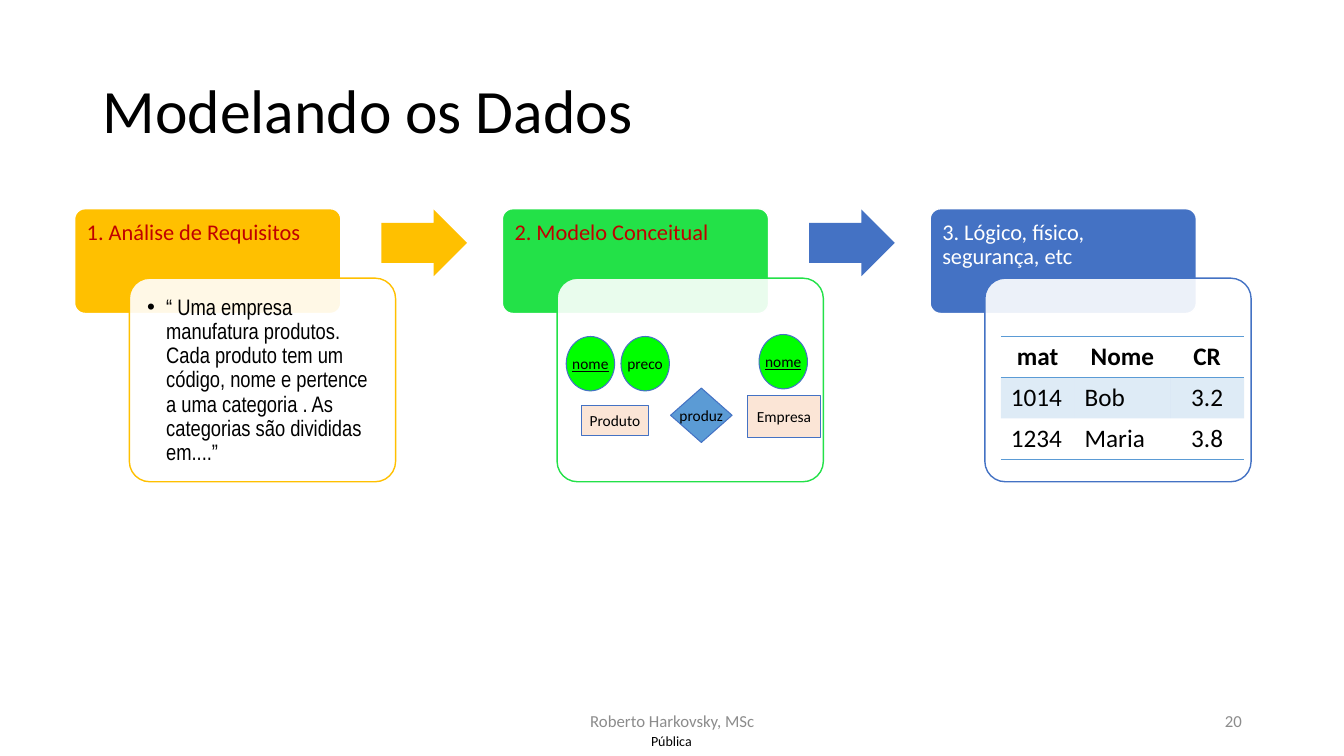
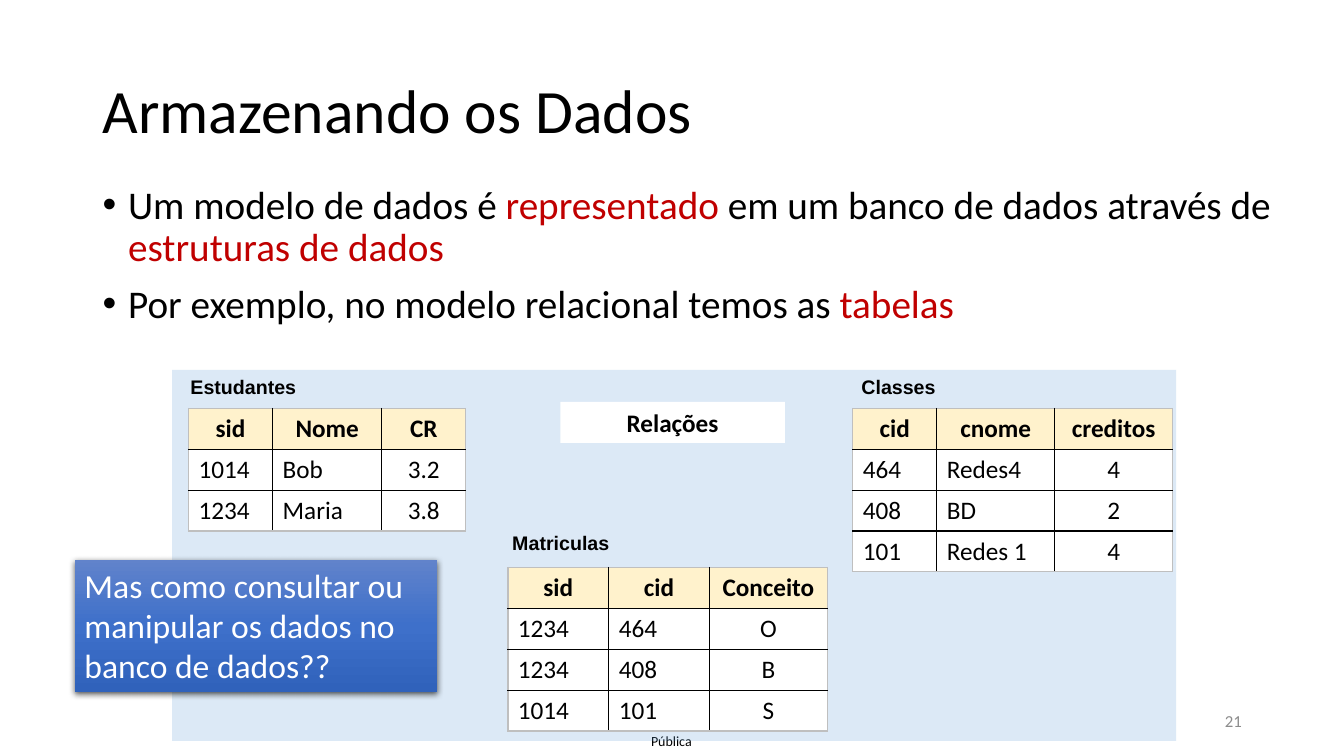
from copy import deepcopy

from lxml.etree import SubElement
from pptx import Presentation
from pptx.dml.color import RGBColor
from pptx.enum.shapes import MSO_SHAPE
from pptx.enum.text import MSO_ANCHOR, PP_ALIGN
from pptx.oxml.ns import qn
from pptx.util import Cm, Pt

BLACK = RGBColor(0x00, 0x00, 0x00)
WHITE = RGBColor(0xFF, 0xFF, 0xFF)
GRAY = RGBColor(0x8C, 0x8C, 0x8C)
SILVER = RGBColor(0xBF, 0xBF, 0xBF)
RED = RGBColor(0xC0, 0x00, 0x00)
GOLD = RGBColor(0xFF, 0xC0, 0x00)
GREEN = RGBColor(0x23, 0xE1, 0x48)
LIME = RGBColor(0x00, 0xFF, 0x00)
BLUE = RGBColor(0x44, 0x72, 0xC4)
SKY = RGBColor(0x5B, 0x9B, 0xD5)
PEACH = RGBColor(0xFB, 0xE5, 0xD6)
CREAM = RGBColor(0xFF, 0xF2, 0xCC)
FADE = [RGBColor(0x61, 0x83, 0xCB), RGBColor(0x3E, 0x70, 0xCA),
        RGBColor(0x30, 0x62, 0xBB)]

LEFT, MID, RIGHT = PP_ALIGN.LEFT, PP_ALIGN.CENTER, PP_ALIGN.RIGHT
TOP, CENTER = MSO_ANCHOR.TOP, MSO_ANCHOR.MIDDLE
ROW = 1.03


# Text
def write(frame, text, size=18, font="Calibri", color=BLACK, bold=False,
          under=False, align=LEFT, line=None, gap=0, hang=0):
    """One paragraph per line of text; parts between bars are red."""
    for n, row in enumerate(text.split("\n")):
        para = frame.add_paragraph() if n else frame.paragraphs[0]
        para.alignment = align
        if hang:
            props = para._p.get_or_add_pPr()
            props.set("marL", str(Cm(hang)))
            props.set("indent", str(-Cm(hang)))
            SubElement(props, qn("a:buFont")).set("typeface", "Arial")
            SubElement(props, qn("a:buChar")).set("char", "•")
        if line:
            para.line_spacing = line
        if n and gap:
            para.space_before = Pt(gap)
        for k, part in enumerate(row.split("|")):
            if not part:
                continue
            run = para.add_run()
            run.text = part
            run.font.size = Pt(size)
            run.font.name = font
            run.font.bold = bold
            run.font.underline = under
            run.font.color.rgb = RED if k % 2 else color


def setup(frame, anchor=TOP, wrap=True, inset=None):
    frame.word_wrap = wrap
    frame.vertical_anchor = anchor
    if inset is not None:
        frame.margin_left = frame.margin_right = Cm(inset)
        frame.margin_top = frame.margin_bottom = Cm(inset)


def label(slide, at, text, anchor=TOP, inset=None, **form):
    box = slide.shapes.add_textbox(*map(Cm, at))
    setup(box.text_frame, anchor, inset=inset)
    write(box.text_frame, text, **form)


# Shapes
def dim(props, alpha):
    """Make a solid fill see-through; alpha is in percent."""
    tone = props.find(qn("a:solidFill")).find(qn("a:srgbClr"))
    SubElement(tone, qn("a:alpha")).set("val", str(alpha * 1000))


def shape(slide, kind, at, fill, edge=None, width=1, alpha=None, adjust=()):
    item = slide.shapes.add_shape(kind, *map(Cm, at))
    item.shadow.inherit = False
    for n, value in enumerate(adjust):
        item.adjustments[n] = value
    item.fill.solid()
    item.fill.fore_color.rgb = fill
    if alpha:
        dim(item._element.spPr, alpha)
    if edge is None:
        item.line.fill.background()
    else:
        item.line.color.rgb = edge
        item.line.width = Pt(width)
    return item


def node(slide, kind, at, fill, text, under=False):
    item = shape(slide, kind, at, fill, BLUE, 0.75)
    setup(item.text_frame, CENTER, wrap=False)
    write(item.text_frame, text, size=11, align=MID, under=under)


def step(slide, left, color, title, ink, body=""):
    tab = shape(slide, MSO_SHAPE.ROUNDED_RECTANGLE, (left, 5.26, 6.71, 2.64),
                color, WHITE, adjust=[0.1])
    setup(tab.text_frame, inset=0.23)
    write(tab.text_frame, title, size=16, color=ink, line=0.9)
    card = shape(slide, MSO_SHAPE.ROUNDED_RECTANGLE,
                 (left + 1.38, 7.01, 6.71, 5.13), WHITE, color,
                 alpha=90, adjust=[0.1])
    if body:
        setup(card.text_frame, inset=0.3)
        write(card.text_frame, body, size=16, font="Arial Narrow",
              line=0.9, hang=0.48)


def glow(item):
    """Blue fade from top to bottom, with a soft shadow."""
    item.fill.gradient()
    item.fill.gradient_angle = 270
    stops = item._element.spPr.find(qn("a:gradFill")).find(qn("a:gsLst"))
    stops.insert(1, deepcopy(stops[0]))
    for n, stop in enumerate(item.fill.gradient_stops):
        stop.position = n / 2
        stop.color.rgb = FADE[n]
    shade = SubElement(item._element.spPr.find(qn("a:effectLst")),
                       qn("a:outerShdw"), blurRad=str(Pt(4.5)),
                       dist=str(Pt(1.5)), dir="5400000", rotWithShape="0")
    tone = SubElement(shade, qn("a:srgbClr"), val="000000")
    SubElement(tone, qn("a:alpha"), val="63000")


# Tables
def rule(props, spot, side, color):
    """Draw one cell edge, or none when there is no color."""
    line = SubElement(props, qn(side), w=str(Pt(1)))
    props.insert(spot, line)
    if color is None:
        SubElement(line, qn("a:noFill"))
    else:
        fill = SubElement(line, qn("a:solidFill"))
        SubElement(fill, qn("a:srgbClr"), val=str(color))


def table(slide, left, top, widths, rows, paint, across, down):
    """paint gives a row's fill; across and down give the line colors."""
    high, wide = len(rows), len(widths)
    grid = slide.shapes.add_table(high, wide, Cm(left), Cm(top),
                                  Cm(sum(widths)), Cm(ROW * high)).table
    grid.first_row = grid.horz_banding = False
    for col, width in zip(grid.columns, widths):
        col.width = Cm(width)
    for r, row in enumerate(rows):
        grid.rows[r].height = Cm(ROW)
        for c, text in enumerate(row):
            cell = grid.cell(r, c)
            middle = r == 0 or c == wide - 1
            write(cell.text_frame, text, bold=r == 0,
                  align=MID if middle else LEFT)
            color, alpha = paint(r)
            props = cell._tc.get_or_add_tcPr()
            if color is None:
                cell.fill.background()
            else:
                cell.fill.solid()
                cell.fill.fore_color.rgb = color
            if alpha:
                dim(props, alpha)
            edges = [("a:lnL", down(c, wide)), ("a:lnR", down(c + 1, wide)),
                     ("a:lnT", across(r, high)),
                     ("a:lnB", across(r + 1, high))]
            for n, (side, tone) in enumerate(edges):
                rule(props, n, side, tone)


def relate(slide, name, spot, left, top, widths, rows):
    """A named relation with a cream head and a full grid."""
    def frame(n, last):
        return SILVER if n in (0, last) else BLACK

    table(slide, left, top, widths, rows,
          lambda r: (WHITE if r else CREAM, None), frame, frame)
    label(slide, (*spot, 4.65, 0.86), name, size=14, font="Arial",
          bold=True, align=MID)


# Slides
def start(deck, title, number):
    slide = deck.slides.add_slide(deck.slide_layouts[6])
    label(slide, (16.03, 18.31, 1.78, 0.74), "Pública", CENTER, inset=0,
          size=10, align=MID)
    label(slide, (2.34, 1.02, 29.21, 3.68), title, CENTER, size=44, line=0.9)
    label(slide, (23.93, 17.65, 7.62, 1.02), number, CENTER,
          size=12, color=GRAY, align=RIGHT)
    return slide


def model(deck):
    slide = start(deck, "Modelando os Dados", "20")
    steps = [
        (GOLD, "1. Análise de Requisitos", RED,
         "“ Uma empresa manufatura produtos. Cada produto tem um código, "
         "nome e pertence a uma categoria . As categorias são divididas "
         "em....”"),
        (GREEN, "2. Modelo Conceitual", RED),
        (BLUE, "3. Lógico, físico, segurança, etc", WHITE),
    ]
    lefts = [1.88 + 10.78 * n for n in range(len(steps))]
    for left, data in zip(lefts, steps):
        step(slide, left, *data)
    for left, color in zip(lefts, (GOLD, BLUE)):
        shape(slide, MSO_SHAPE.RIGHT_ARROW, (left + 7.73, 5.28, 2.16, 1.68),
              color, adjust=[0.6, 0.5])

    # Entities and their traits
    node(slide, MSO_SHAPE.DIAMOND, (16.9, 9.78, 1.55, 1.37), SKY, "produz")
    for at, text in [((14.66, 10.22, 1.68, 0.76), "Produto"),
                     ((18.83, 9.96, 1.86, 1.07), "Empresa")]:
        node(slide, MSO_SHAPE.RECTANGLE, at, PEACH, text)
    for left, top, text in [(14.27, 8.48, "nome"), (15.65, 8.48, "preco"),
                            (19.13, 8.43, "nome")]:
        node(slide, MSO_SHAPE.OVAL, (left, top, 1.22, 1.37), LIME, text,
             under=text == "nome")

    label(slide, (11.23, 17.65, 11.43, 1.02), "Roberto Harkovsky, MSc",
          CENTER, size=12, color=GRAY, align=MID)
    table(slide, 25.22, 8.48, [1.86, 2.41, 1.86],
          [("mat", "Nome", "CR"), ("1014", "Bob", "3.2"),
           ("1234", "Maria", "3.8")],
          lambda r: (SKY, 20) if r == 1 else (None, None),
          lambda n, last: SKY if n in (0, 1, last) else None,
          lambda n, last: None)


def store(deck):
    slide = start(deck, "Armazenando os Dados", "21")
    label(slide, (2.34, 4.55, 30.05, 3.3),
          "Um modelo de dados é |representado| em um banco de dados através "
          "de |estruturas de dados|\n"
          "Por exemplo, no modelo relacional temos as |tabelas|",
          size=28, line=0.9, gap=10, hang=0.64)

    # Relations on a pale panel
    shape(slide, MSO_SHAPE.RECTANGLE, (4.34, 9.32, 25.3, 9.35), SKY, alpha=21)
    relate(slide, "Estudantes", (3.81, 9.32), 4.75, 10.29, [2.12, 2.75, 2.12],
           [("sid", "Nome", "CR"), ("1014", "Bob", "3.2"),
            ("1234", "Maria", "3.8")])
    relate(slide, "Classes", (20.32, 9.32), 21.49, 10.29, [2.12, 2.97, 2.97],
           [("cid", "cnome", "creditos"), ("464", "Redes4", "4"),
            ("408", "BD", "2"), ("101", "Redes 1", "4")])
    relate(slide, "Matriculas", (11.81, 13.26), 12.8, 14.3,
           [2.54, 2.54, 2.97],
           [("sid", "cid", "Conceito"), ("1234", "464", "O"),
            ("1234", "408", "B"), ("1014", "101", "S")])
    tag = shape(slide, MSO_SHAPE.RECTANGLE, (14.12, 10.13, 5.66, 1.03), WHITE)
    setup(tag.text_frame)
    write(tag.text_frame, "Relações", bold=True, align=MID)

    # Closing question
    note = shape(slide, MSO_SHAPE.RECTANGLE, (1.88, 14.1, 9.14, 3.33), BLUE)
    glow(note)
    setup(note.text_frame)
    write(note.text_frame, "Mas como consultar ou manipular os dados no "
          "banco de dados??", size=24, color=WHITE)


def main():
    deck = Presentation()
    deck.slide_width, deck.slide_height = Cm(33.87), Cm(19.05)
    model(deck)
    store(deck)
    deck.save("out.pptx")


if __name__ == "__main__":
    main()
